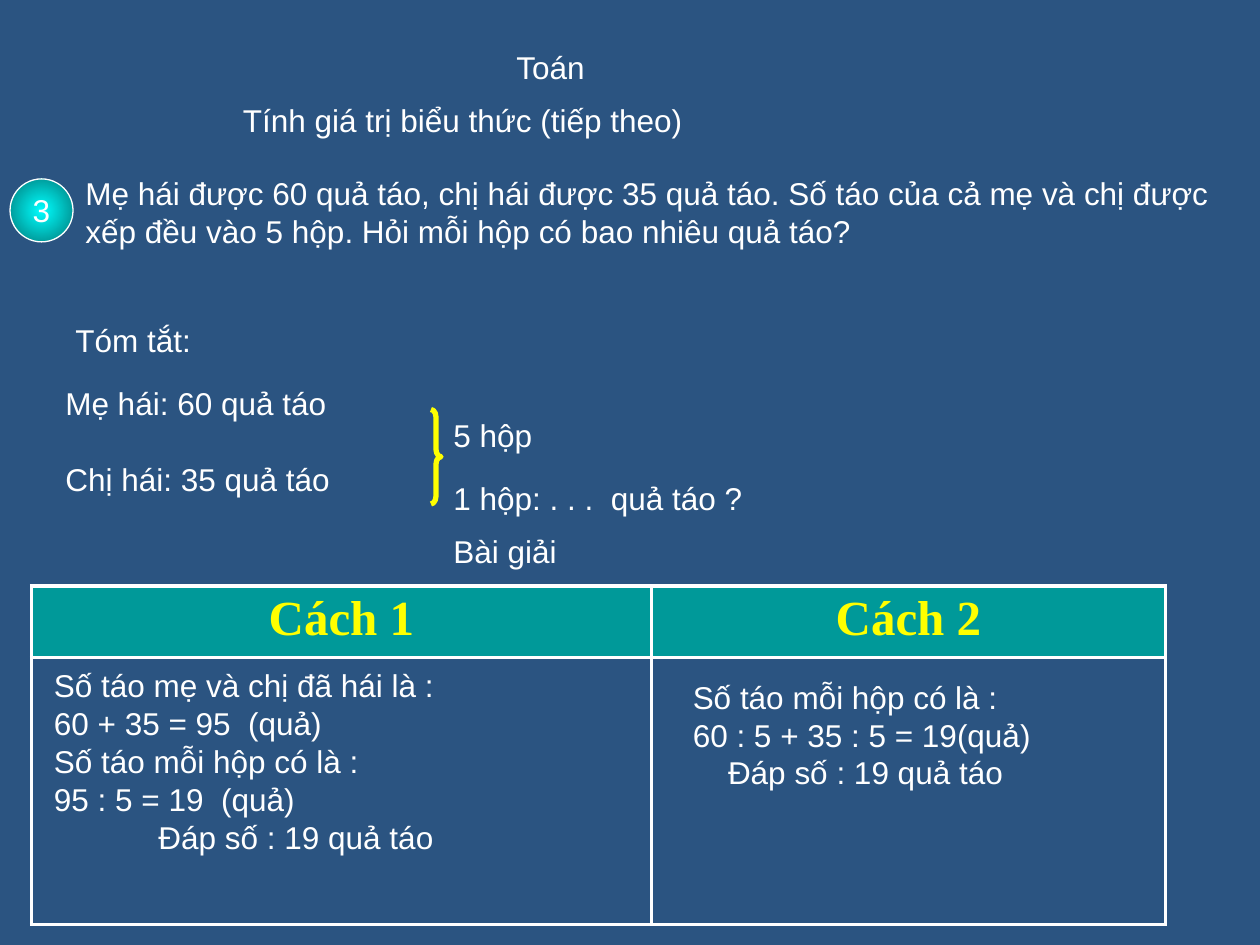
from lxml import etree
from pptx import Presentation
from pptx.dml.color import RGBColor
from pptx.enum.shapes import MSO_SHAPE
from pptx.enum.text import MSO_ANCHOR, PP_ALIGN
from pptx.oxml import parse_xml
from pptx.oxml.ns import nsdecls, qn
from pptx.util import Inches, Pt

OVAL, BRACE = MSO_SHAPE.OVAL, MSO_SHAPE.RIGHT_BRACE
LEFT, CENTER = PP_ALIGN.LEFT, PP_ALIGN.CENTER
MIDDLE = MSO_ANCHOR.MIDDLE

NAVY = RGBColor(0x2B, 0x54, 0x81)
WHITE = RGBColor(0xFF, 0xFF, 0xFF)
YELLOW = RGBColor(0xFF, 0xFF, 0x00)
TEAL = RGBColor(0x00, 0x99, 0x99)
CYAN = RGBColor(0x00, 0xFF, 0xFF)
DARK_TEAL = RGBColor(0x00, 0x76, 0x76)

# text, left, top, width
LINES = [
    ("Toán", 4, 0.33, 1.25),
    ("Tính giá trị biểu thức (tiếp theo)", 1.83, 0.75, 4),
    ("Mẹ hái được 60 quả táo, chị hái được 35 quả táo. Số táo của cả mẹ và "
     "chị được xếp đều vào 5 hộp. Hỏi mỗi hộp có bao nhiêu quả táo?",
     0.58, 1.33, 9.5),
    ("Tóm tắt:", 0.5, 2.5, 1.92),
    ("Mẹ hái: 60 quả táo", 0.42, 3, 3.42),
    ("Chị hái: 35 quả táo", 0.42, 3.6, 3.42),
    ("5 hộp", 3.5, 3.25, 1.58),
    ("1 hộp: . . .  quả táo ?", 3.5, 3.75, 3.58),
    ("Bài giải", 3.5, 4.17, 1.67),
]
ANSWER = "Đáp số : 19 quả táo"
# heading, column width, working, left, top, width, answer indent
SOLUTIONS = [
    ("Cách 1", 4.92,
     ["Số táo mẹ và chị đã hái là :", "60 + 35 = 95  (quả)",
      "Số táo mỗi hộp có là :", "95 : 5 = 19  (quả)"],
     0.33, 5.24, 3.5, 0.83),
    ("Cách 2", 4.08,
     ["Số táo mỗi hộp có là :", "60 : 5 + 35 : 5 = 19(quả)"],
     5.4, 5.33, 3.2, 0.28),
]
ROW_HEIGHTS = [0.57, 2.12]
TABLE_LEFT, TABLE_TOP = 0.25, 4.65
LINE_HEIGHT, PADDING = 0.3, 0.1


def write(frame, *lines, size=18, font="Arial", color=WHITE, bold=False,
          align=LEFT, last_indent=0):
    for number, line in enumerate(lines):
        paragraph = frame.add_paragraph() if number else frame.paragraphs[0]
        paragraph.alignment = align
        run = paragraph.add_run()
        run.text = line
        run.font.size, run.font.name, run.font.bold = Pt(size), font, bold
        run.font.color.rgb = color
    if last_indent:
        paragraph._p.get_or_add_pPr().set("marL", str(Inches(last_indent)))


def add_text(slide, lines, left, top, width, **style):
    height = LINE_HEIGHT * len(lines) + PADDING
    box = slide.shapes.add_textbox(
        Inches(left), Inches(top), Inches(width), Inches(height))
    box.text_frame.word_wrap = True
    write(box.text_frame, *lines, **style)


def add_outline(slide, kind, left, top, width, height, color, weight):
    shape = slide.shapes.add_shape(
        kind, Inches(left), Inches(top), Inches(width), Inches(height))
    shape.shadow.inherit = False
    shape.fill.background()
    shape.line.color.rgb = color
    shape.line.width = Pt(weight)
    return shape


def fill_radial(shape, inner, outer):
    shape.fill.gradient()
    for stop, color, position in zip(
            shape.fill.gradient_stops, (inner, outer), (0, 1)):
        stop.color.rgb = color
        stop.position = position
    gradient = shape._element.spPr.find(qn("a:gradFill"))
    gradient.replace(gradient.find(qn("a:lin")), parse_xml(
        f'<a:path {nsdecls("a")} path="circle"><a:fillToRect l="50000" '
        't="50000" r="50000" b="50000"/></a:path>'))


def set_borders(cell, color, weight):
    properties = cell._tc.get_or_add_tcPr()
    for index, side in enumerate(("lnL", "lnR", "lnT", "lnB")):
        border = etree.Element(qn(f"a:{side}"), w=str(Pt(weight)))
        fill = etree.SubElement(border, qn("a:solidFill"))
        etree.SubElement(fill, qn("a:srgbClr"), val=str(color))
        properties.insert(index, border)


def add_solution_table(slide):
    widths = [solution[1] for solution in SOLUTIONS]
    table = slide.shapes.add_table(
        len(ROW_HEIGHTS), len(widths), Inches(TABLE_LEFT), Inches(TABLE_TOP),
        Inches(sum(widths)), Inches(sum(ROW_HEIGHTS))).table
    table.first_row = table.horz_banding = False
    for row, height in zip(table.rows, ROW_HEIGHTS):
        row.height = Inches(height)
    for index, (heading, width, *_) in enumerate(SOLUTIONS):
        table.columns[index].width = Inches(width)
        header, body = table.cell(0, index), table.cell(1, index)
        header.fill.solid()
        header.fill.fore_color.rgb = TEAL
        body.fill.background()
        write(header.text_frame, heading, size=28, font="Times New Roman",
              color=YELLOW, bold=True, align=CENTER)
        for cell in (header, body):
            set_borders(cell, WHITE, 2.25)


def main():
    deck = Presentation()
    deck.slide_width, deck.slide_height = Inches(10), Inches(7.5)
    slide = deck.slides.add_slide(deck.slide_layouts[6])
    slide.background.fill.solid()
    slide.background.fill.fore_color.rgb = NAVY

    for line, left, top, width in LINES:
        lines_needed = [line]
        add_text(slide, lines_needed, left, top, width)

    badge = add_outline(slide, OVAL, 0.08, 1.42, 0.5, 0.5, WHITE, 0.75)
    fill_radial(badge, CYAN, DARK_TEAL)
    badge.text_frame.word_wrap = False
    badge.text_frame.vertical_anchor = MIDDLE
    write(badge.text_frame, "3", align=CENTER)

    brace = add_outline(slide, BRACE, 3.42, 3.25, 0.08, 0.75, YELLOW, 3)
    brace.adjustments[0] = 0.75

    add_solution_table(slide)
    for _, _, working, left, top, width, indent in SOLUTIONS:
        add_text(slide, working + [ANSWER], left, top, width,
                 last_indent=indent)
    deck.save("out.pptx")


if __name__ == "__main__":
    main()
